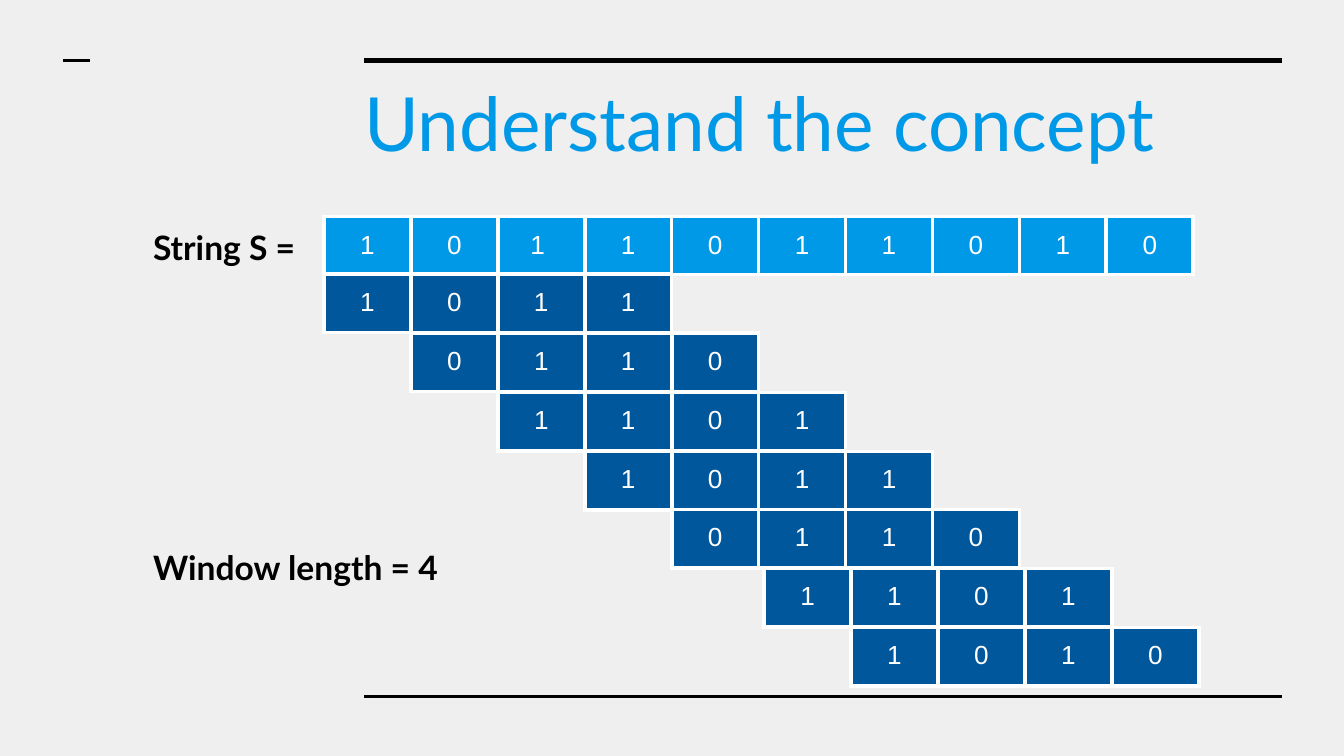
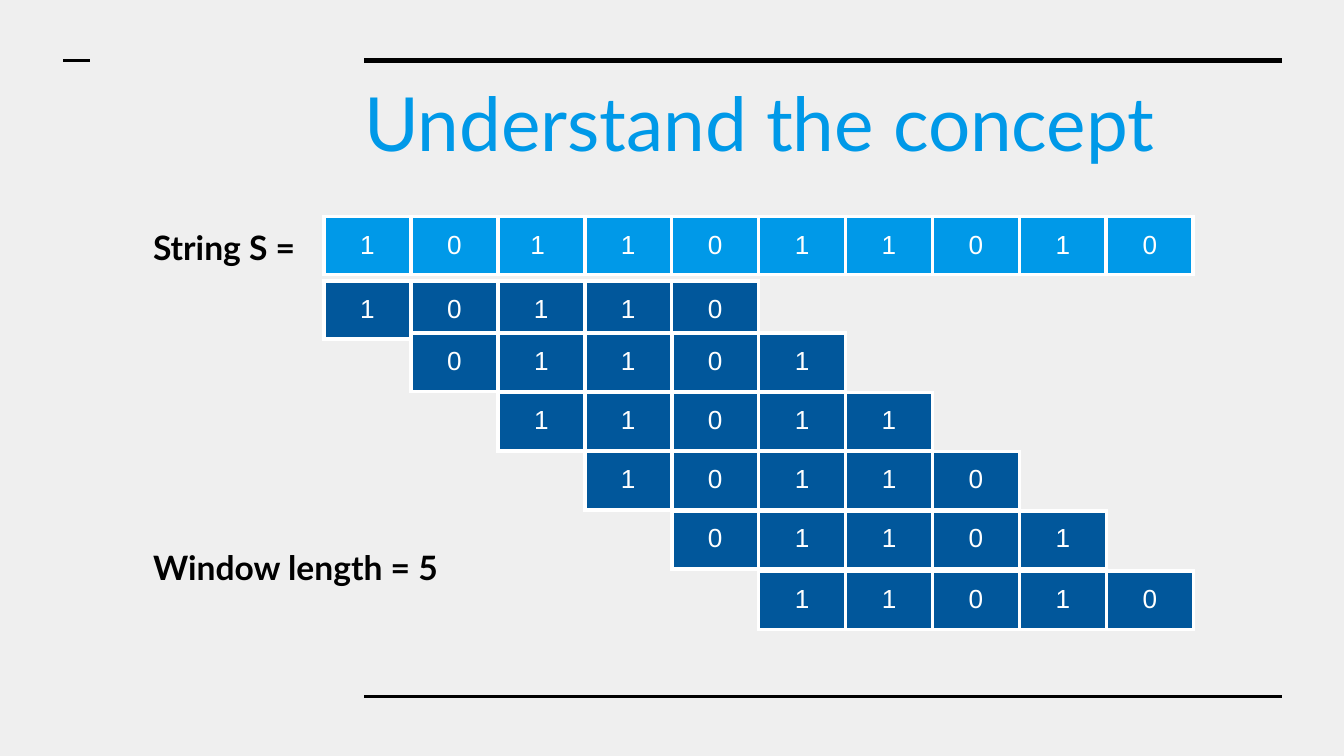
import pptx
import pptx.dml.color
import pptx.enum.shapes
import pptx.enum.text
import pptx.oxml.ns
import pptx.util
import lxml.etree

Inches = pptx.util.Inches
Pt = pptx.util.Pt
RGBColor = pptx.dml.color.RGBColor
Align = pptx.enum.text.PP_ALIGN
Anchor = pptx.enum.text.MSO_ANCHOR
AutoSize = pptx.enum.text.MSO_AUTO_SIZE
qn = pptx.oxml.ns.qn

PAPER = RGBColor(0xEF, 0xEF, 0xEF)
BLACK = RGBColor(0x00, 0x00, 0x00)
WHITE = RGBColor(0xFF, 0xFF, 0xFF)
SKY = RGBColor(0x00, 0x99, 0xE8)
NAVY = RGBColor(0x01, 0x57, 0x9B)

PAGE_WIDTH = Inches(10)
PAGE_HEIGHT = PAGE_WIDTH * 9 // 16

HEADING_FONT = "Lato"
DIGIT_FONT = "Arial"
MARGIN = Inches(0.1)

STRING_CELLS = ["1", "0", "1 ", "1", "0", "1", "1", "0", "1", "0"]
GRID_LEFT, GRID_WIDTH = 2.41, 6.47
CELL_WIDTH = GRID_WIDTH / len(STRING_CELLS)
ROW_HEIGHT = 0.43
STRING_TOP = 1.61
WINDOW_TOP, WINDOW_STEP = 2.04, 0.44

RULES = [
    (2.71, 9.54, 0.45, 3),
    (2.71, 9.54, 5.18, 1.5),
    (0.47, 0.67, 0.45, 1.5),
]

WINDOW_PAGES = [
    (4, {4: (0, -0.01), 5: (0.04, -0.01), 6: (0.04, -0.01)}),
    (5, {0: (0, 0.05), 5: (0, 0.01)}),
]


def set_margins(target):
    target.margin_left = target.margin_right = MARGIN
    target.margin_top = target.margin_bottom = MARGIN


def style_paragraph(para, font, size, color, bold=False, align=Align.LEFT):
    para.alignment = align
    for span in para.runs:
        span.font.name = font
        span.font.size = Pt(size)
        span.font.bold = bold
        span.font.color.rgb = color


def add_layout_rules(page):
    layout = page.slide_layout
    for left, right, height, weight in RULES:
        rule = page.shapes.add_connector(
            pptx.enum.shapes.MSO_CONNECTOR.STRAIGHT,
            Inches(left), Inches(height), Inches(right), Inches(height))
        rule.line.color.rgb = BLACK
        rule.line.width = Pt(weight)
        properties = rule.element.find(qn("p:spPr"))
        lxml.etree.SubElement(properties, qn("a:effectLst"))
        layout.shapes.element.append(rule.element)


def set_title(page, text, left, top, width, height):
    box = page.shapes.title
    box.left, box.top = Inches(left), Inches(top)
    box.width, box.height = Inches(width), Inches(height)
    frame = box.text_frame
    frame.text = text
    frame.auto_size = AutoSize.NONE
    frame.vertical_anchor = Anchor.TOP
    set_margins(frame)
    para = frame.paragraphs[0]
    para.space_after = Pt(16)
    style_paragraph(para, HEADING_FONT, 40, SKY)


def add_label(page, text, left, top, width, height):
    box = page.shapes.add_textbox(
        Inches(left), Inches(top), Inches(width), Inches(height))
    frame = box.text_frame
    frame.text = text
    frame.word_wrap = True
    frame.auto_size = AutoSize.SHAPE_TO_FIT_TEXT
    set_margins(frame)
    style_paragraph(frame.paragraphs[0], HEADING_FONT, 18, BLACK, bold=True)


def add_cell_borders(cell):
    properties = cell._tc.get_or_add_tcPr()
    for side in ("a:lnL", "a:lnR", "a:lnT", "a:lnB"):
        border = lxml.etree.SubElement(properties, qn(side), w=str(Pt(2.25)))
        fill = lxml.etree.SubElement(border, qn("a:solidFill"))
        lxml.etree.SubElement(fill, qn("a:srgbClr"), val=str(WHITE))


def add_digit_row(page, digits, left, top, color, anchor):
    table = page.shapes.add_table(
        1, len(digits), Inches(left), Inches(top),
        Inches(CELL_WIDTH * len(digits)), Inches(ROW_HEIGHT)).table
    table.first_row = False
    table.horz_banding = False
    for column, digit in enumerate(digits):
        table.columns[column].width = Inches(CELL_WIDTH)
        cell = table.cell(0, column)
        cell.text_frame.text = digit
        cell.vertical_anchor = anchor
        set_margins(cell)
        add_cell_borders(cell)
        cell.fill.solid()
        cell.fill.fore_color.rgb = color
        style_paragraph(cell.text_frame.paragraphs[0], DIGIT_FONT, 14, WHITE,
                        align=Align.CENTER)


def add_sliding_windows(page, length, nudges, left, top):
    for start in range(len(STRING_CELLS) - length + 1):
        across, down = nudges.get(start, (0, 0))
        digits = [digit.strip() for digit in STRING_CELLS[start:start + length]]
        add_digit_row(page, digits, left + start * CELL_WIDTH + across,
                      top + start * WINDOW_STEP + down, NAVY, Anchor.TOP)


def add_window_page(deck, layout, length, nudges):
    page = deck.slides.add_slide(layout)
    set_title(page, "Understand the concept", 2.61, 0.47, 6.91, 0.69)
    add_label(page, "String S =", 1.04, 1.59, 1.32, 0.5)
    add_digit_row(page, STRING_CELLS, GRID_LEFT, STRING_TOP, SKY, Anchor.MIDDLE)
    add_sliding_windows(page, length, nudges, GRID_LEFT, WINDOW_TOP)
    add_label(page, f"Window length = {length}", 1.04, 3.97, 2.82, 0.5)
    return page


def main():
    deck = pptx.Presentation()
    deck.slide_width, deck.slide_height = PAGE_WIDTH, PAGE_HEIGHT
    layout = deck.slide_layouts[5]
    layout.background.fill.solid()
    layout.background.fill.fore_color.rgb = PAPER
    pages = [add_window_page(deck, layout, length, nudges)
             for length, nudges in WINDOW_PAGES]
    add_layout_rules(pages[0])
    deck.save("out.pptx")


if __name__ == "__main__":
    main()
